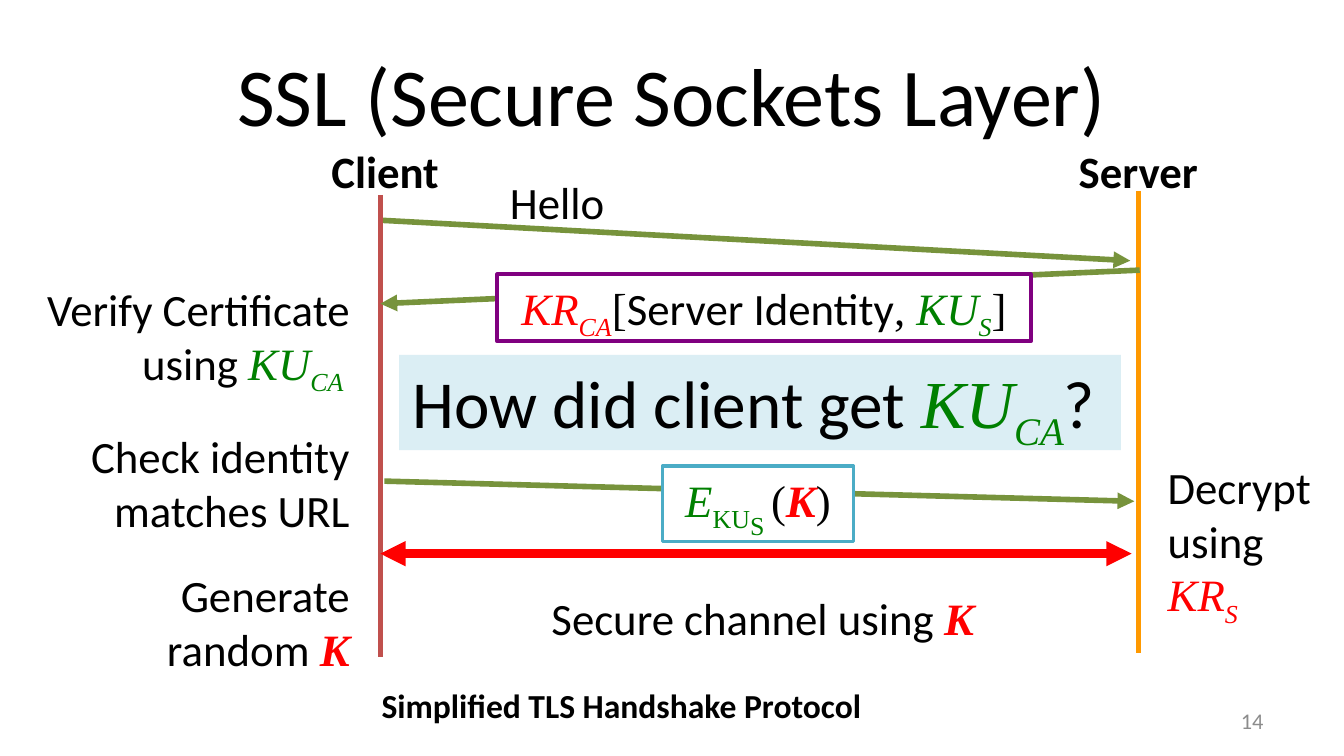
"""Build a slide on the SSL handshake between a client and a server."""
from lxml import etree
from pptx import Presentation
from pptx.dml.color import RGBColor
from pptx.enum.shapes import MSO_CONNECTOR, MSO_SHAPE
from pptx.enum.text import MSO_ANCHOR, MSO_AUTO_SIZE, PP_ALIGN
from pptx.oxml.ns import qn
from pptx.util import Inches, Pt

STRAIGHT = MSO_CONNECTOR.STRAIGHT
RECTANGLE = MSO_SHAPE.RECTANGLE
TOP, MIDDLE = MSO_ANCHOR.TOP, MSO_ANCHOR.MIDDLE
GROW, FIXED = MSO_AUTO_SIZE.SHAPE_TO_FIT_TEXT, MSO_AUTO_SIZE.NONE
LEFT, CENTER, RIGHT = PP_ALIGN.LEFT, PP_ALIGN.CENTER, PP_ALIGN.RIGHT

COLORS = {
    "black": "000000", "gray": "8C8C8C", "white": "FFFFFF",
    "red": "FF0000", "green": "008000", "olive": "77933C",
    "brick": "C0504D", "orange": "FF9900", "purple": "800080",
    "teal": "4BACC6", "pale": "DBEEF4",
}


def color(name):
    return RGBColor.from_string(COLORS[name])


def add_run(paragraph, text, size=24, ink="black", font="Calibri",
            bold=False, italic=False, baseline=0):
    run = paragraph.add_run()
    run.text = text
    run.font.name = font
    run.font.size = Pt(size)
    run.font.bold = bold
    run.font.italic = italic
    run.font.color.rgb = color(ink)
    if baseline:
        run.font._element.set("baseline", str(baseline * 1000))


presentation = Presentation()
presentation.slide_width = Inches(10)
presentation.slide_height = Inches(10) * 9 // 16
slide = presentation.slides.add_slide(presentation.slide_layouts[6])

lines = [
    (2.83, 1.45, 2.83, 4.89, "brick", 3, []),
    (8.47, 1.42, 8.47, 4.86, "orange", 3, []),
    (2.85, 1.64, 8.41, 1.94, "olive", 3, ["tailEnd"]),
    (8.48, 2.01, 2.83, 2.26, "olive", 3, ["tailEnd"]),
    (8.44, 3.73, 2.86, 3.58, "olive", 3, ["headEnd"]),
    (2.83, 4.12, 8.42, 4.12, "red", 4.5, ["headEnd", "tailEnd"]),
]
for x1, y1, x2, y2, ink, width, arrowheads in lines:
    connector = slide.shapes.add_connector(
        STRAIGHT, Inches(x1), Inches(y1), Inches(x2), Inches(y2))
    connector.line.color.rgb = color(ink)
    connector.line.width = Pt(width)
    outline = connector.line._get_or_add_ln()
    for arrowhead in arrowheads:
        etree.SubElement(outline, qn(f"a:{arrowhead}"), type="triangle")
    etree.SubElement(connector._element.spPr, qn("a:effectLst"))

serif = {"font": "Times New Roman"}
private = {**serif, "ink": "red", "italic": True}
public = {**serif, "ink": "green", "italic": True}
upright = {**public, "italic": False}
secret = ("K", {**private, "bold": True})
bold = {"bold": True}
low = {"baseline": -25}

texts = [
    (0.5, 0.23, 9, 0.94, CENTER, True, MIDDLE, FIXED,
     [[("SSL (Secure Sockets Layer)", {"size": 44})]]),
    (7.17, 5.21, 2.33, 0.3, RIGHT, True, MIDDLE, FIXED,
     [[("14", {"size": 12, "ink": "gray"})]]),
    (2.36, 1.02, 1.01, 0.5, CENTER, False, TOP, GROW, [[("Client", bold)]]),
    (7.92, 1.02, 1.1, 0.5, CENTER, False, TOP, GROW, [[("Server", bold)]]),
    (3.69, 1.25, 0.91, 0.5, CENTER, False, TOP, GROW, [[("Hello", {})]]),
    (0.17, 2.05, 2.53, 3, RIGHT, True, TOP, GROW,
     [[("Verify Certificate using ", {}), ("KU", public), ("CA ", {**public, **low})],
      [("Check identity matches URL", {})],
      [("Generate random ", {}), secret]]),
    (8.59, 3.37, 1.33, 1.31, LEFT, True, TOP, GROW,
     [[("Decrypt\vusing ", {}), ("KR", private), ("S", {**private, **low})]]),
    (3.94, 4.35, 3.47, 0.5, CENTER, False, TOP, GROW,
     [[("Secure channel using ", {}), secret]]),
    (2.74, 5.05, 3.82, 0.4, LEFT, False, TOP, GROW,
     [[("Simplified TLS Handshake Protocol", {"size": 18, **bold})]]),
]
panels = [
    (3.7, 2.04, 3.97, 0.5, CENTER, False, "white", "purple", 0.05,
     [("KR", private), ("CA", {**private, **low}), ("[", serif),
      ("Server Identity", {}), (", ", serif), ("KU", public),
      ("S", {**public, **low}), ("]", serif)]),
    (4.93, 3.47, 1.42, 0.56, CENTER, False, "white", "teal", 0.1,
     [("E", public), ("KU", {**upright, **low}),
      ("S ", {**upright, "baseline": -40}), ("(", serif), secret, (")", serif)]),
    (2.97, 2.64, 5.37, 0.71, LEFT, True, "pale", None, 0.05,
     [("How did client get ", {"size": 36}), ("KU", {**public, "size": 36}),
      ("CA", {**public, **low, "size": 36}), ("?", {"size": 36})]),
]

content = []
for left, top, width, height, align, wrap, anchor, fit, paragraphs in texts:
    shape = slide.shapes.add_textbox(
        Inches(left), Inches(top), Inches(width), Inches(height))
    content.append((shape, align, wrap, anchor, fit, paragraphs))

for left, top, width, height, align, wrap, fill, border, bottom, runs in panels:
    shape = slide.shapes.add_shape(
        RECTANGLE, Inches(left), Inches(top), Inches(width), Inches(height))
    shape.shadow.inherit = False
    shape.fill.solid()
    shape.fill.fore_color.rgb = color(fill)
    if border:
        shape.line.color.rgb = color(border)
        shape.line.width = Pt(2)
    else:
        shape.line.fill.background()
    shape.text_frame.margin_bottom = Inches(bottom)
    content.append((shape, align, wrap, TOP, GROW, [runs]))

for shape, align, wrap, anchor, fit, paragraphs in content:
    frame = shape.text_frame
    frame.word_wrap = wrap
    frame.vertical_anchor = anchor
    frame.auto_size = fit
    for index, runs in enumerate(paragraphs):
        paragraph = frame.add_paragraph() if index else frame.paragraphs[0]
        paragraph.alignment = align
        if index:
            paragraph.space_before = Pt(17)
        for text, style in runs:
            for part, piece in enumerate(text.split("\v")):
                if part:
                    paragraph.add_line_break()
                add_run(paragraph, piece, **style)

presentation.save("out.pptx")
